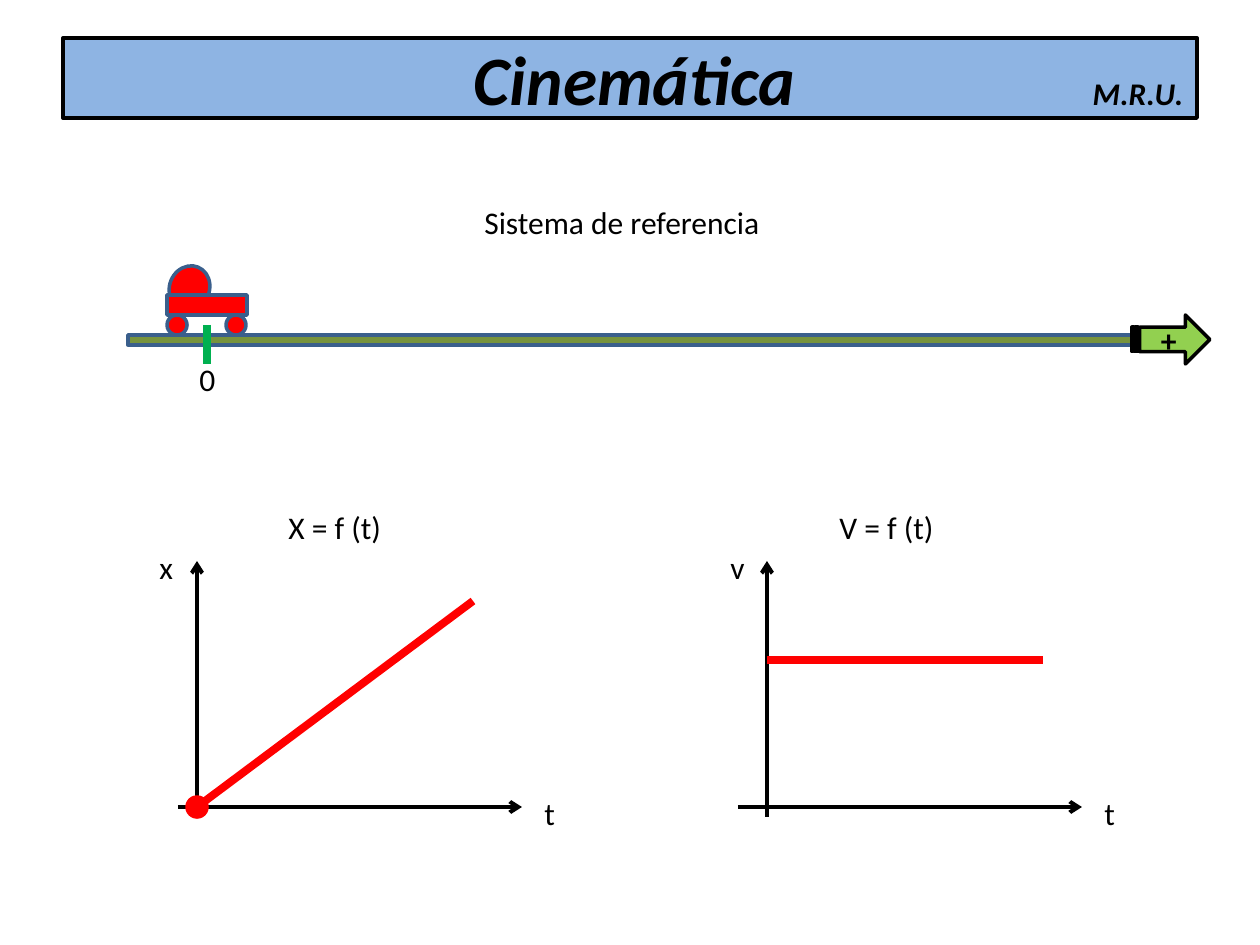
from lxml.etree import SubElement
from pptx import Presentation
from pptx.dml.color import RGBColor
from pptx.enum.shapes import MSO_CONNECTOR, MSO_SHAPE as SHAPE
from pptx.enum.text import MSO_ANCHOR, MSO_AUTO_SIZE, PP_ALIGN
from pptx.oxml.ns import qn
from pptx.util import Emu, Inches, Pt

COLORS = {
    "black": "000000", "red": "FF0000", "blue": "3A5F8C", "banner": "8EB4E3",
    "track": "77933C", "mark": "00B050", "arrow": "92D050",
}


def px(n):
    return Emu(round(n * Inches(1) / 126))


def rgb(name):
    return RGBColor.from_string(COLORS[name])


class Board:
    font, size = "Calibri", 18

    def __init__(self, slide):
        self.slide = slide

    def style(self, r, size=None, bold=False, italic=False):
        r.font.name, r.font.size = self.font, Pt(size or self.size)
        r.font.bold, r.font.italic = bold, italic
        r.font.color.rgb = rgb("black")

    def shape(self, kind, x, y, w, h, fill, line="blue", weight=2, rotation=0):
        sp = self.slide.shapes.add_shape(kind, px(x), px(y), px(w), px(h))
        sp.shadow.inherit = False
        sp.fill.solid()
        sp.fill.fore_color.rgb = rgb(fill)
        sp.line.color.rgb = rgb(line)
        sp.line.width = Pt(weight)
        sp.rotation = rotation
        return sp

    def text(self, text, x, y, w, wrap=True):
        sp = self.slide.shapes.add_textbox(px(x), px(y), px(w), px(50))
        tf = sp.text_frame
        tf.text = text
        tf.word_wrap = wrap
        tf.auto_size = MSO_AUTO_SIZE.SHAPE_TO_FIT_TEXT
        self.style(tf.paragraphs[0].runs[0])

    def line(self, x1, y1, x2, y2, color, weight=4.5, arrow=False):
        cx = self.slide.shapes.add_connector(
            MSO_CONNECTOR.STRAIGHT, px(x1), px(y1), px(x2), px(y2))
        cx.line.color.rgb = rgb(color)
        cx.line.width = Pt(weight)
        if arrow:
            SubElement(cx.line._get_or_add_ln(), qn("a:tailEnd"), type="arrow")
        SubElement(cx._element.spPr, qn("a:effectLst"))

    def axes(self, x, y, left):
        self.line(x, y + 10, x, 561, "black", 2.25, arrow=True)
        self.line(left, y, left + 344, y, "black", 2.25, arrow=True)

    def banner(self, title, note, x, y, w, h):
        sp = self.shape(SHAPE.RECTANGLE, x, y, w, h, "banner", "black", 2.25)
        tf = sp.text_frame
        tf.vertical_anchor = MSO_ANCHOR.MIDDLE
        p = tf.paragraphs[0]
        p.alignment = PP_ALIGN.LEFT
        # Centre and right tab stops keep both texts on one baseline
        tabs = SubElement(p._p.get_or_add_pPr(), qn("a:tabLst"))
        for pos, align in ((559, "ctr"), (1108, "r")):
            SubElement(tabs, qn("a:tab"), pos=str(px(pos)), algn=align)
        for text, size in (("\t" + title, 39.6), ("\t" + note, 18)):
            r = p.add_run()
            r.text = text
            self.style(r, size, bold=True, italic=True)


def main():
    prs = Presentation()
    prs.slide_width, prs.slide_height = Inches(10), Inches(7.5)
    s = Board(prs.slides.add_slide(prs.slide_layouts[6]))

    # Title
    s.banner("Cinemática", "M.R.U.", 63, 38, 1134, 80)
    s.text("Sistema de referencia", 472, 197, 305)

    # Cart
    s.shape(SHAPE.CHORD, 167, 268, 45, 40, "red", rotation=112.3)
    s.shape(SHAPE.RECTANGLE, 167, 295, 80, 20, "red")
    for x in (167, 226):
        s.shape(SHAPE.OVAL, x, 315, 20, 20, "red")

    # Track with origin mark and positive direction
    s.shape(SHAPE.RECTANGLE, 128, 335, 1024, 10, "track")
    s.line(207, 325, 207, 364, "mark")
    s.text("0", 187, 354, 39)
    sp = s.shape(SHAPE.STRIPED_RIGHT_ARROW, 1132, 315, 78, 49, "arrow", "black")
    tf = sp.text_frame
    tf.text = "+"
    tf.vertical_anchor = MSO_ANCHOR.MIDDLE
    tf.paragraphs[0].alignment = PP_ALIGN.CENTER
    s.style(tf.paragraphs[0].runs[0], bold=True)

    # Graphs: name, axis x, time axis left, label x, title x, start y, end y
    base = 807
    graphs = (
        ("x", 197, 178, 147, 276, base, 601),
        ("v", 767, 738, 718, 827, 660, 660),
    )
    for name, x, left, label_x, title_x, y1, y2 in graphs:
        s.axes(x, base, left)
        s.line(x, y1, x + 276, y2, "red")
        s.text(name, label_x, 542, 40, wrap=False)
        s.text("t", left + 354, 788, 37, wrap=False)
        s.text(f"{name.upper()} = f (t)", title_x, 502, 187)
    s.shape(SHAPE.OVAL, 187, base - 10, 20, 20, "red", "red")

    prs.save("out.pptx")


if __name__ == "__main__":
    main()
